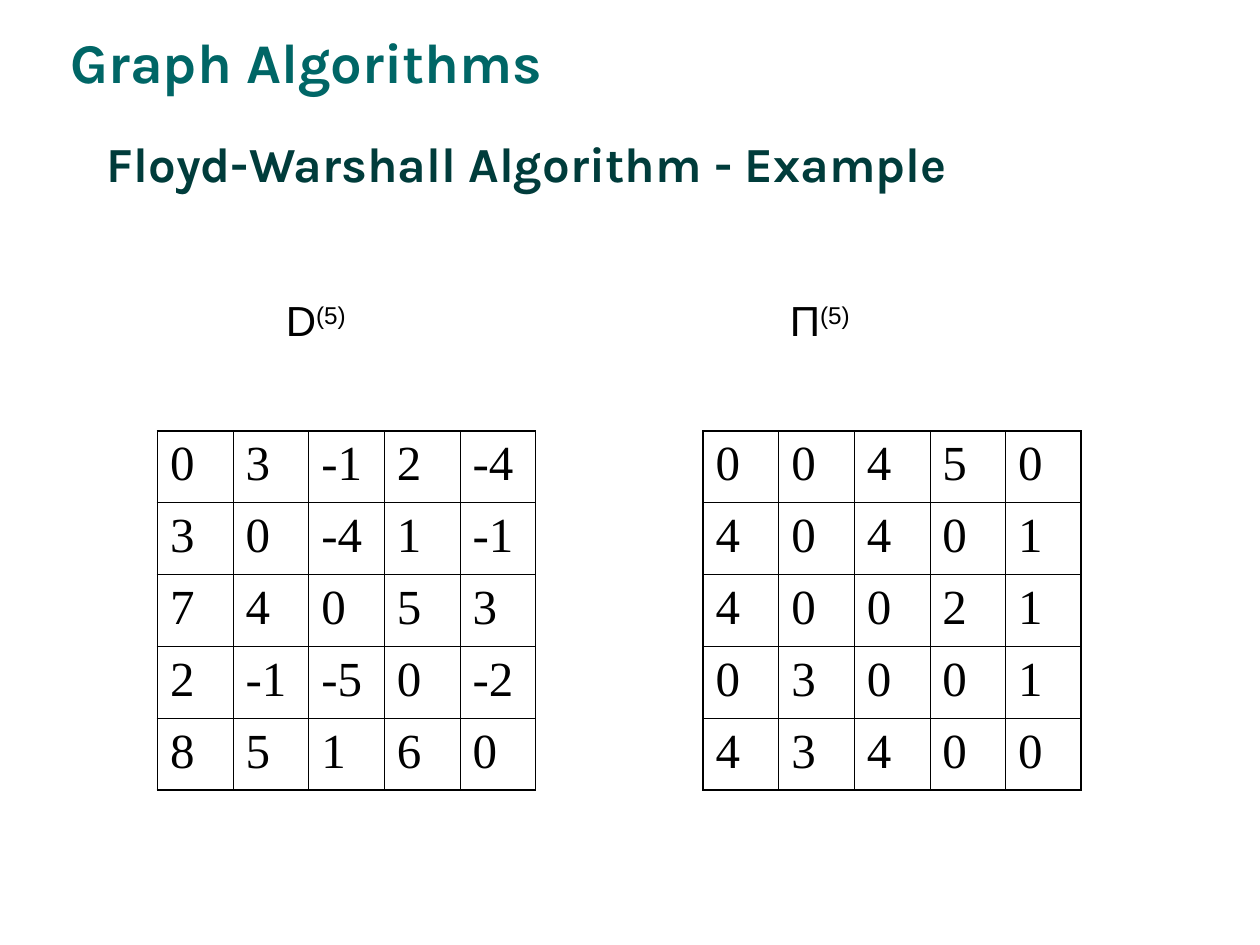
from lxml.etree import SubElement
from pptx import Presentation
from pptx.dml.color import RGBColor
from pptx.enum.text import MSO_ANCHOR, MSO_AUTO_SIZE
from pptx.oxml.ns import qn
from pptx.util import Inches, Pt

COLORS = {"topic": "006666", "title": "003C3B", "ink": "000000"}
TOPIC_FONT = {"name": "Karla", "size": Pt(32), "bold": True}
TITLE_FONT = {"name": "Karla", "size": Pt(28), "bold": True}
LABEL_FONT = {"name": "Arial", "size": Pt(24)}
CELL_FONT = {"name": "Times New Roman", "size": Pt(28)}

OUTER_LINE, INNER_LINE = Pt(1.08), Pt(0.45)
LABEL_TABS = (1, 5)

DISTANCES = [
    [0, 3, -1, 2, -4],
    [3, 0, -4, 1, -1],
    [7, 4, 0, 5, 3],
    [2, -1, -5, 0, -2],
    [8, 5, 1, 6, 0],
]
PREDECESSORS = [
    [0, 0, 4, 5, 0],
    [4, 0, 4, 0, 1],
    [4, 0, 0, 2, 1],
    [0, 3, 0, 0, 1],
    [4, 3, 4, 0, 0],
]


def style(font, values, color):
    for attribute, value in values.items():
        setattr(font, attribute, value)
    font.color.rgb = RGBColor.from_string(COLORS[color])


def add_text_frame(slide, box, **settings):
    frame = slide.shapes.add_textbox(*map(Inches, box)).text_frame
    for attribute, value in settings.items():
        setattr(frame, attribute, value)
    return frame


def add_heading(slide, box, text, font_values, color, **settings):
    run = add_text_frame(slide, box, **settings).paragraphs[0].add_run()
    run.text = text
    style(run.font, font_values, color)


def add_matrix_labels(slide, box, symbols, iteration):
    """Symbols with a raised iteration number, each at its own tab stop."""
    frame = add_text_frame(slide, box, word_wrap=False,
                           auto_size=MSO_AUTO_SIZE.SHAPE_TO_FIT_TEXT)
    labels = frame.paragraphs[0]
    tab_list = SubElement(labels._p.get_or_add_pPr(), qn("a:tabLst"))
    for position in LABEL_TABS:
        SubElement(tab_list, qn("a:tab"), pos=str(Inches(position)), algn="l")
    for symbol in symbols:
        for text, baseline in ((f"\t{symbol}", 0), (f"({iteration})", 30000)):
            run = labels.add_run()
            run.text = text
            style(run.font, LABEL_FONT, "ink")
            if baseline:
                run.font._element.set("baseline", str(baseline))


def set_borders(cell, widths):
    properties = cell._tc.get_or_add_tcPr()
    for position, (side, width) in enumerate(widths.items()):
        line = SubElement(properties, qn(f"a:{side}"), w=str(width))
        fill = SubElement(line, qn("a:solidFill"))
        SubElement(fill, qn("a:srgbClr"), val=COLORS["ink"])
        # Borders come before the fill in the cell properties
        properties.insert(position, line)


def add_matrix(slide, box, values):
    """A square matrix with a heavier line around it."""
    last = len(values) - 1
    matrix = slide.shapes.add_table(
        len(values), len(values), *map(Inches, box)).table
    matrix.first_row = matrix.horz_banding = False
    for row, numbers in enumerate(values):
        for column, number in enumerate(numbers):
            cell = matrix.cell(row, column)
            cell.fill.background()
            run = cell.text_frame.paragraphs[0].add_run()
            run.text = str(number)
            style(run.font, CELL_FONT, "ink")
            on_edge = {"lnL": column == 0, "lnR": column == last,
                       "lnT": row == 0, "lnB": row == last}
            set_borders(cell, {side: OUTER_LINE if edge else INNER_LINE
                               for side, edge in on_edge.items()})


def main():
    deck = Presentation()
    deck.slide_width, deck.slide_height = Inches(10), Inches(7.5)
    slide = deck.slides.add_slide(deck.slide_layouts[6])

    # Headings
    add_heading(slide, (0.46, 0.17, 4.16, 0.64), "Graph Algorithms",
                TOPIC_FONT, "topic", word_wrap=False,
                auto_size=MSO_AUTO_SIZE.SHAPE_TO_FIT_TEXT)
    add_heading(slide, (0.75, 0.67, 9.25, 1.25),
                "Floyd-Warshall Algorithm - Example", TITLE_FONT, "title",
                word_wrap=True, vertical_anchor=MSO_ANCHOR.MIDDLE)

    # Matrices and their labels
    for left, values in ((1.25, DISTANCES), (5.58, PREDECESSORS)):
        add_matrix(slide, (left, 3.42, 3, 2.85), values)
    add_matrix_labels(slide, (1.17, 2.29, 5.7, 0.5), "DΠ", 5)

    deck.save("out.pptx")


if __name__ == "__main__":
    main()
